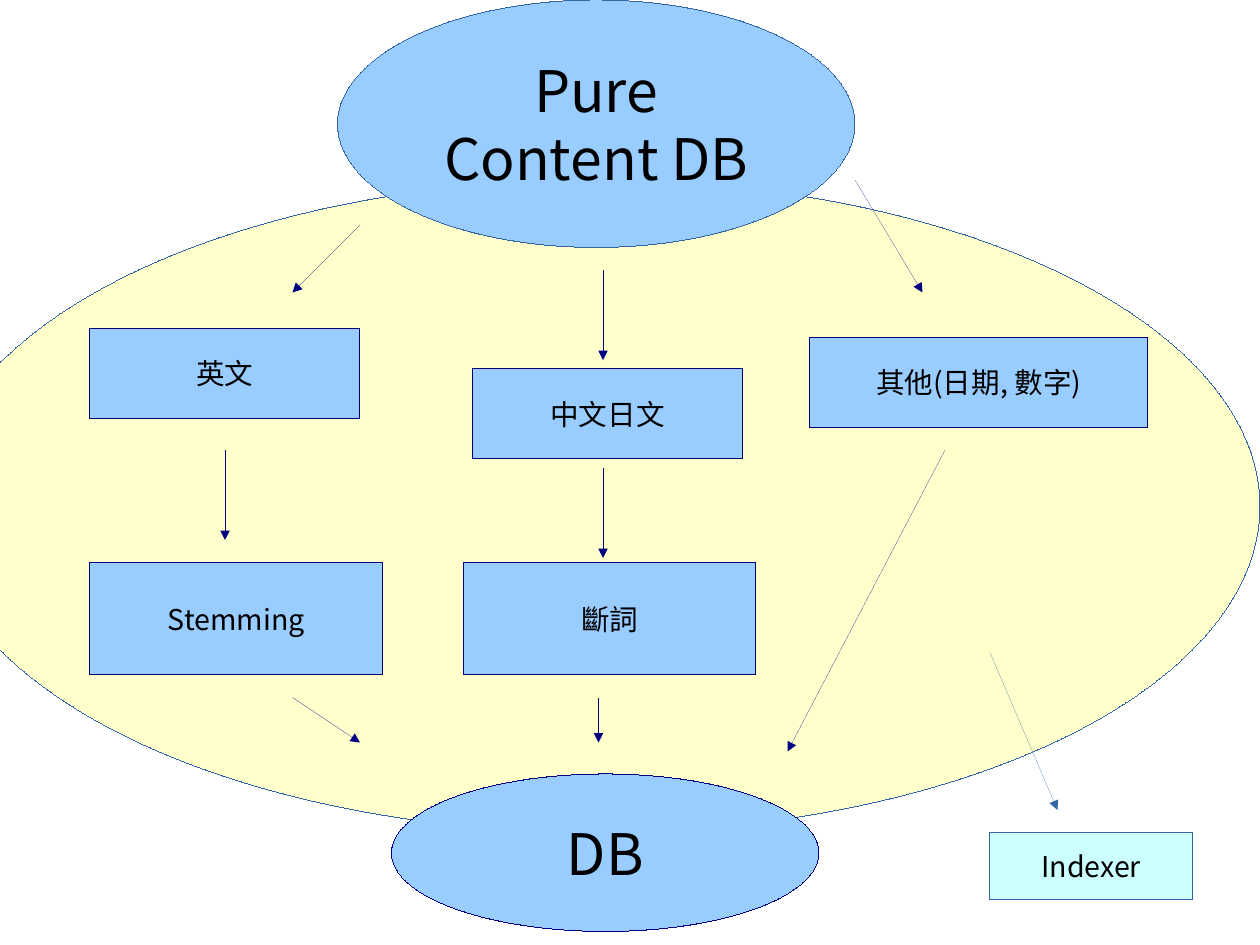
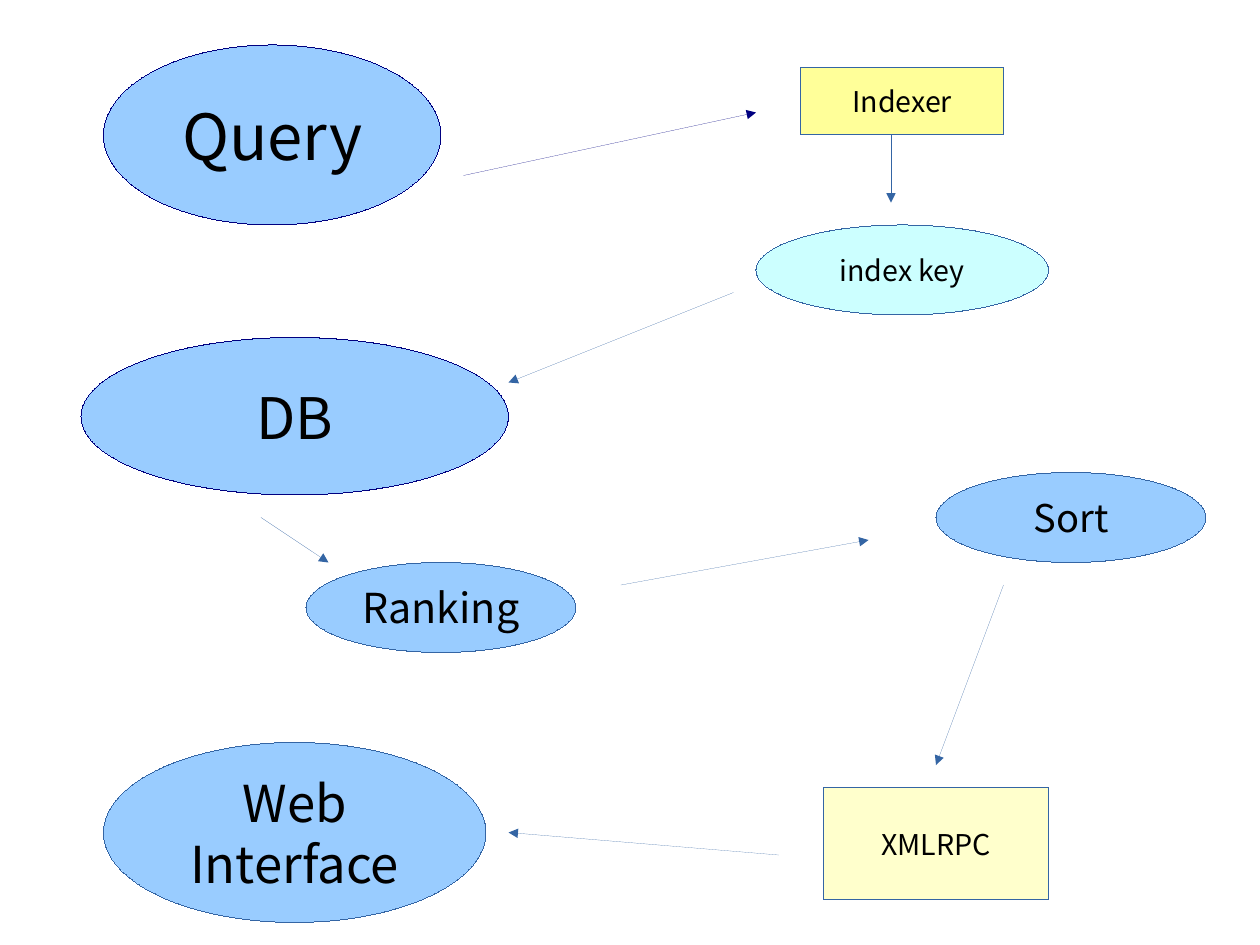
from lxml import etree
from pptx import Presentation
from pptx import util as u
from pptx.dml.color import RGBColor
from pptx.enum import shapes, text
from pptx.oxml.ns import qn

FONT = "Noto Sans CJK SC"
BLACK = RGBColor(0x00, 0x00, 0x00)
NAVY = RGBColor(0x00, 0x00, 0x80)
STEEL = RGBColor(0x34, 0x65, 0xA4)
SKY = RGBColor(0x99, 0xCC, 0xFF)
AQUA = RGBColor(0xCC, 0xFF, 0xFF)
CREAM = RGBColor(0xFF, 0xFF, 0xCC)
YELLOW = RGBColor(0xFF, 0xFF, 0x99)

OVAL = shapes.MSO_SHAPE.OVAL
BOX = shapes.MSO_SHAPE.RECTANGLE
COLUMNS, ROWS = 28, 21

presentation = Presentation()
presentation.slide_width = u.Cm(COLUMNS)
presentation.slide_height = u.Cm(ROWS)
column = presentation.slide_width / COLUMNS
row = presentation.slide_height / ROWS


def add_node(slide, kind, label, size, fill, outline, left, top, width, height):
    shape = slide.shapes.add_shape(
        kind, round(left * column), round(top * row), round(width * column), round(height * row))
    shape.shadow.inherit = False
    shape.fill.solid()
    shape.fill.fore_color.rgb = fill
    shape.line.color.rgb = outline
    shape._element.spPr.find(qn("a:ln")).set("w", "0")
    if not label:
        return
    frame = shape.text_frame
    frame.word_wrap = True
    frame.vertical_anchor = text.MSO_ANCHOR.MIDDLE
    paragraph = frame.paragraphs[0]
    paragraph.alignment = text.PP_ALIGN.CENTER
    run = paragraph.add_run()
    run.text = label
    run.font.size = u.Pt(size)
    run.font.name = FONT
    run.font.color.rgb = BLACK
    etree.SubElement(run.font._element, qn("a:ea"), typeface=FONT)


def add_arrow(slide, color, start_x, start_y, end_x, end_y):
    arrow = slide.shapes.add_connector(
        shapes.MSO_CONNECTOR.STRAIGHT, round(start_x * column), round(start_y * row),
        round(end_x * column), round(end_y * row))
    arrow.line.color.rgb = color
    outline = arrow._element.spPr.find(qn("a:ln"))
    outline.set("w", "0")
    etree.SubElement(outline, qn("a:tailEnd"), type="triangle")
    etree.SubElement(arrow._element.spPr, qn("a:effectLst"))


indexing_nodes = [
    (OVAL, "", 0, CREAM, STEEL, -1.5, 4, 29.5, 14.5),
    (OVAL, "Pure Content DB", 36, SKY, STEEL, 7.5, 0, 11.5, 5.5),
    (BOX, "中文日文", 18, SKY, NAVY, 10.5, 8.2, 6, 2),
    (BOX, "英文", 18, SKY, NAVY, 2, 7.3, 6, 2),
    (BOX, "其他(日期, 數字)", 18, SKY, NAVY, 18, 7.5, 7.5, 2),
    (BOX, "Stemming", 18, SKY, NAVY, 2, 12.5, 6.5, 2.5),
    (BOX, "斷詞", 18, SKY, NAVY, 10.3, 12.5, 6.5, 2.5),
    (OVAL, "DB", 36, SKY, NAVY, 8.7, 17.2, 9.5, 3.5),
    (BOX, "Indexer", 18, AQUA, STEEL, 22, 18.5, 4.5, 1.5),
]
indexing_arrows = [
    (NAVY, 13.4, 6, 13.4, 8),
    (NAVY, 8, 5, 6.5, 6.5),
    (NAVY, 19, 4, 20.5, 6.5),
    (NAVY, 5, 10, 5, 12),
    (NAVY, 13.4, 10.4, 13.4, 12.4),
    (NAVY, 21, 10, 17.5, 16.7),
    (NAVY, 6.5, 15.5, 8, 16.5),
    (NAVY, 13.3, 15.5, 13.3, 16.5),
    (STEEL, 22, 14.5, 23.5, 18),
]

query_nodes = [
    (OVAL, "Query", 40, SKY, NAVY, 2.3, 1, 7.5, 4),
    (OVAL, "DB", 36, SKY, NAVY, 1.8, 7.5, 9.5, 3.5),
    (BOX, "Indexer", 18, YELLOW, STEEL, 17.8, 1.5, 4.5, 1.5),
    (OVAL, "index key", 18, AQUA, STEEL, 16.8, 5, 6.5, 2),
    (OVAL, "Ranking", 26, SKY, STEEL, 6.8, 12.5, 6, 2),
    (OVAL, "Sort", 24, SKY, STEEL, 20.8, 10.5, 6, 2),
    (BOX, "XMLRPC", 18, CREAM, STEEL, 18.3, 17.5, 5, 2.5),
    (OVAL, "Web Interface", 32, SKY, STEEL, 2.3, 16.5, 8.5, 4),
]
query_arrows = [
    (NAVY, 10.3, 3.9, 16.8, 2.5),
    (STEEL, 19.8, 3, 19.8, 4.5),
    (STEEL, 16.3, 6.5, 11.3, 8.5),
    (STEEL, 5.8, 11.5, 7.3, 12.5),
    (STEEL, 13.8, 13, 19.3, 12),
    (STEEL, 22.3, 13, 20.8, 17),
    (STEEL, 17.3, 19, 11.3, 18.5),
]

blank_layout = presentation.slide_layouts[6]
for nodes, arrows in [(indexing_nodes, indexing_arrows), (query_nodes, query_arrows)]:
    slide = presentation.slides.add_slide(blank_layout)
    for node in nodes:
        add_node(slide, *node)
    for arrow in arrows:
        add_arrow(slide, *arrow)

presentation.save("out.pptx")
